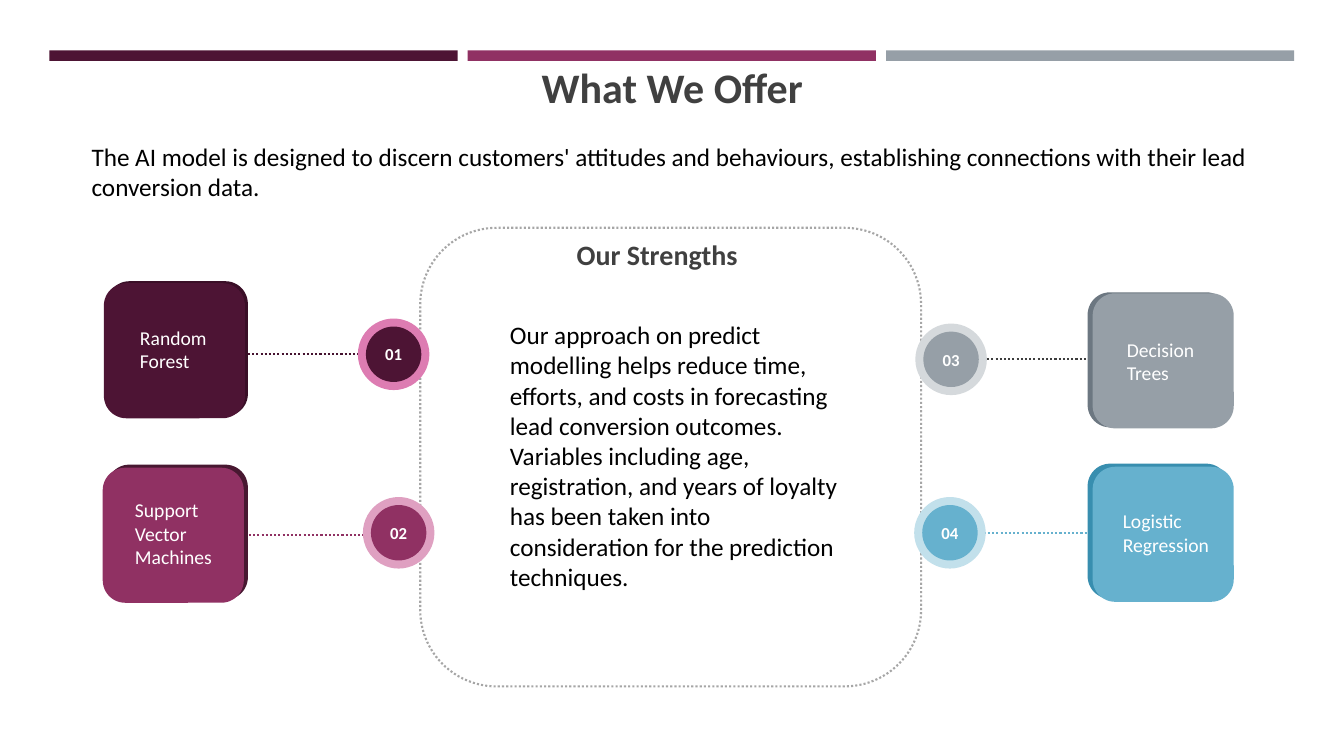
from lxml import etree
from pptx import Presentation
from pptx.dml.color import RGBColor
from pptx.enum.dml import MSO_LINE
from pptx.enum.shapes import MSO_CONNECTOR, MSO_SHAPE
from pptx.enum.text import MSO_ANCHOR, PP_ALIGN
from pptx.oxml.ns import qn
from pptx.util import Pt

RECTANGLE, ROUNDED, OVAL = MSO_SHAPE.RECTANGLE, MSO_SHAPE.ROUNDED_RECTANGLE, MSO_SHAPE.OVAL
STRAIGHT = MSO_CONNECTOR.STRAIGHT
DOTTED = MSO_LINE.ROUND_DOT
LEFT, CENTER = PP_ALIGN.LEFT, PP_ALIGN.CENTER
TOP, MIDDLE = MSO_ANCHOR.TOP, MSO_ANCHOR.MIDDLE

FONT = "Calibri"
WHITE = RGBColor(0xFF, 0xFF, 0xFF)
BLACK = RGBColor(0x00, 0x00, 0x00)
HEADING = RGBColor(0x40, 0x40, 0x40)
OUTLINE = RGBColor(0xA6, 0xA6, 0xA6)
PLUM = RGBColor(0x4D, 0x14, 0x34)
PLUM_DARK = RGBColor(0x3A, 0x0F, 0x27)
PLUM_LINE = RGBColor(0x45, 0x12, 0x2F)
PINK = RGBColor(0xDD, 0x7C, 0xB2)
BERRY = RGBColor(0x90, 0x31, 0x63)
BERRY_DARK = RGBColor(0x48, 0x18, 0x31)
BERRY_LIGHT = RGBColor(0xDF, 0xA0, 0xC1)
GREY = RGBColor(0x96, 0x9F, 0xA7)
GREY_DARK = RGBColor(0x6C, 0x77, 0x81)
GREY_LIGHT = RGBColor(0xD5, 0xD9, 0xDC)
GREY_LINE = RGBColor(0x3D, 0x3D, 0x3D)
BLUE = RGBColor(0x66, 0xB1, 0xCE)
BLUE_DARK = RGBColor(0x38, 0x8E, 0xAF)
BLUE_LIGHT = RGBColor(0xC2, 0xE0, 0xEB)

presentation = Presentation()
presentation.slide_width, presentation.slide_height = Pt(960), Pt(540)
slide = presentation.slides.add_slide(presentation.slide_layouts[6])


def add_shape(kind, left, top, width, height, fill=None):
    shape = slide.shapes.add_shape(kind, Pt(left), Pt(top), Pt(width), Pt(height))
    shape.shadow.inherit = False
    shape.line.fill.background()
    if fill is None:
        shape.fill.background()
    else:
        shape.fill.solid()
        shape.fill.fore_color.rgb = fill
    return shape


def add_text(text, box=None, shape=None, size=18, color=BLACK, bold=False,
             align=LEFT, anchor=TOP, inset=True):
    if shape is None:
        shape = slide.shapes.add_textbox(*[Pt(length) for length in box])
    frame = shape.text_frame
    frame.word_wrap = True
    frame.vertical_anchor = anchor
    if not inset:
        frame.margin_left = frame.margin_right = Pt(0)
        frame.margin_top = frame.margin_bottom = Pt(0)
    paragraph = frame.paragraphs[0]
    paragraph.alignment = align
    run = paragraph.add_run()
    run.text = text
    run.font.name = FONT
    run.font.size = Pt(size)
    run.font.bold = bold
    run.font.color.rgb = color


# Top bars
for column, color in enumerate((PLUM, BERRY, GREY)):
    add_shape(RECTANGLE, 35.3 + column * 298.8, 36, 291.6, 7.5, color)

# Central panel
panel = add_shape(ROUNDED, 300.2, 162.7, 357.8, 327.6)
panel.line.color.rgb = OUTLINE
panel.line.width = Pt(1.5)
panel.line.dash_style = DOTTED

# Methods: number, name, label box, back tile, front tile, badge,
# link (from, to, y), then colours of front, back, badge ring and link
methods = [
    ("01", "Random Forest", (92.9, 229, 64.1, 41), (76.3, 200.9), (74.2, 202.3),
     (255.6, 227.5), (177.1, 257.8, 252.7), PLUM, PLUM_DARK, PINK, PLUM_LINE),
    ("02", "Support Vector Machines", (89.3, 352.1, 74.2, 58.3), (76.3, 331.9), (73.4, 334.1),
     (259.2, 355), (177.8, 259.2, 382.3), BERRY, BERRY_DARK, BERRY_LIGHT, BERRY),
    ("03", "Decision Trees", (797.8, 237.6, 74.9, 41), (776.9, 208.8), (780.5, 209.5),
     (653.8, 231.1), (699.1, 776.9, 256.3), GREY, GREY_DARK, GREY_LIGHT, GREY_LINE),
    ("04", "Logistic Regression", (794.9, 360, 77.8, 41), (776.9, 331.2), (780.5, 333.4),
     (653, 355), (702.7, 780.5, 380.9), BLUE, BLUE_DARK, BLUE_LIGHT, BLUE),
]
TILE_WIDTH, TILE_HEIGHT = 100.8, 96.5
RING, DISC = 51.1, 39.6
DISC_OFFSET = (RING - DISC) / 2

for (number, name, label_box, back, front, badge, link,
     color, dark, light, link_color) in methods:
    start, end, y = link
    connector = slide.shapes.add_connector(STRAIGHT, Pt(start), Pt(y), Pt(end), Pt(y))
    connector.line.color.rgb = link_color
    connector.line.width = Pt(1.5)
    connector.line.dash_style = DOTTED
    etree.SubElement(connector._element.spPr, qn("a:effectLst"))

    add_shape(ROUNDED, *back, TILE_WIDTH, TILE_HEIGHT, dark)
    add_shape(ROUNDED, *front, TILE_WIDTH, TILE_HEIGHT, color)
    add_text(name, label_box, size=14, color=WHITE)

    add_shape(OVAL, *badge, RING, RING, light)
    disc = add_shape(OVAL, badge[0] + DISC_OFFSET, badge[1] + DISC_OFFSET, DISC, DISC, color)
    add_text(number, shape=disc, size=12, color=WHITE, bold=True, align=CENTER, anchor=MIDDLE)

# Headings and body text
add_text("What We Offer", (184.3, 43.2, 591.8, 37.4), size=30, color=HEADING, bold=True,
         align=CENTER, anchor=MIDDLE, inset=False)
add_text("The AI model is designed to discern customers' attitudes and behaviours, "
         "establishing connections with their lead conversion data.",
         (58.3, 97.2, 860.4, 52.6))
add_text("Our Strengths", (370.1, 169.9, 198.7, 24.5), size=20, color=HEADING, bold=True,
         align=CENTER, inset=False)
add_text("Our approach on predict modelling helps reduce time, efforts, and costs in "
         "forecasting lead conversion outcomes. Variables including age, registration, "
         "and years of loyalty has been taken into consideration for the prediction techniques.",
         (357.1, 224.6, 255.6, 203.8))

presentation.save("out.pptx")
